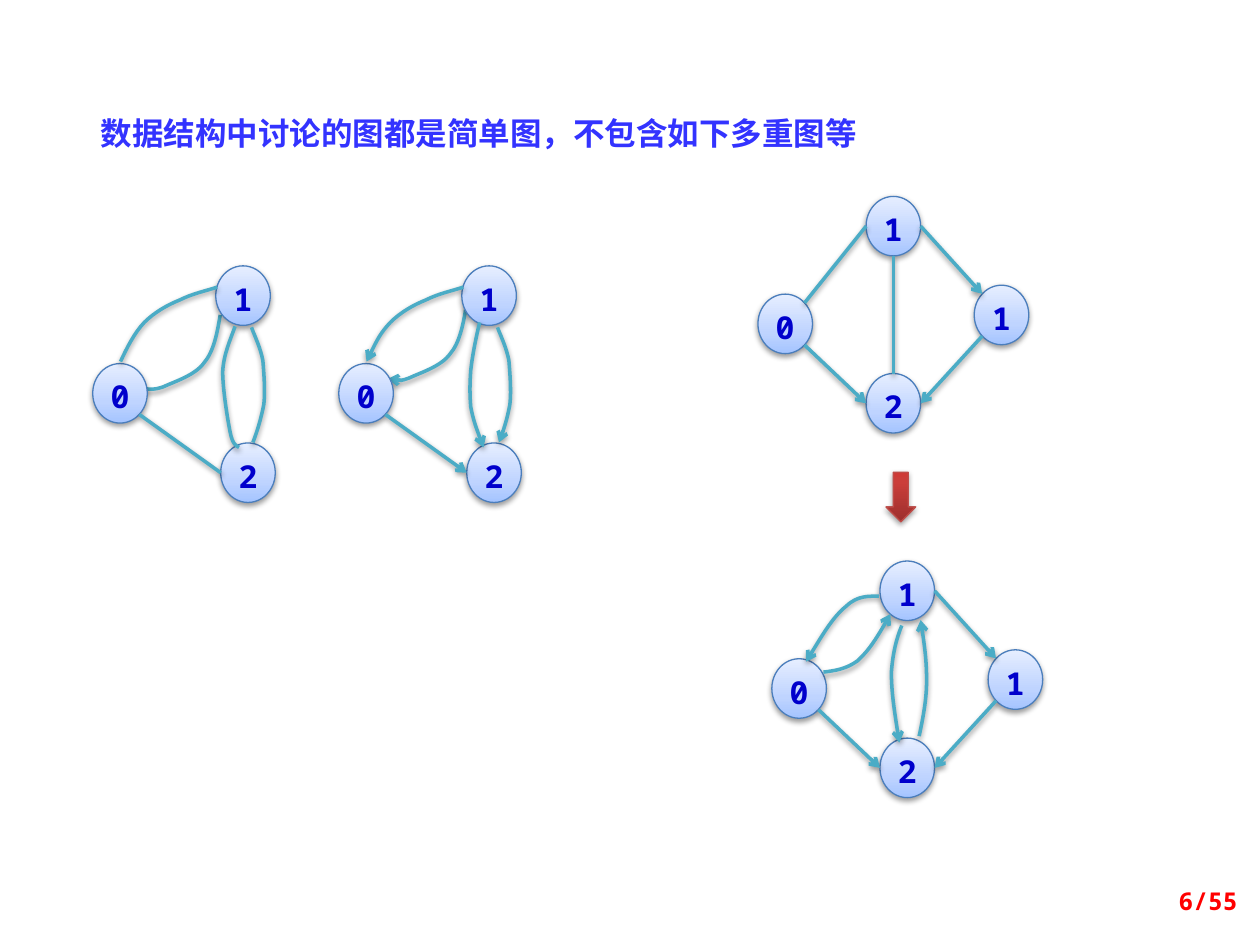
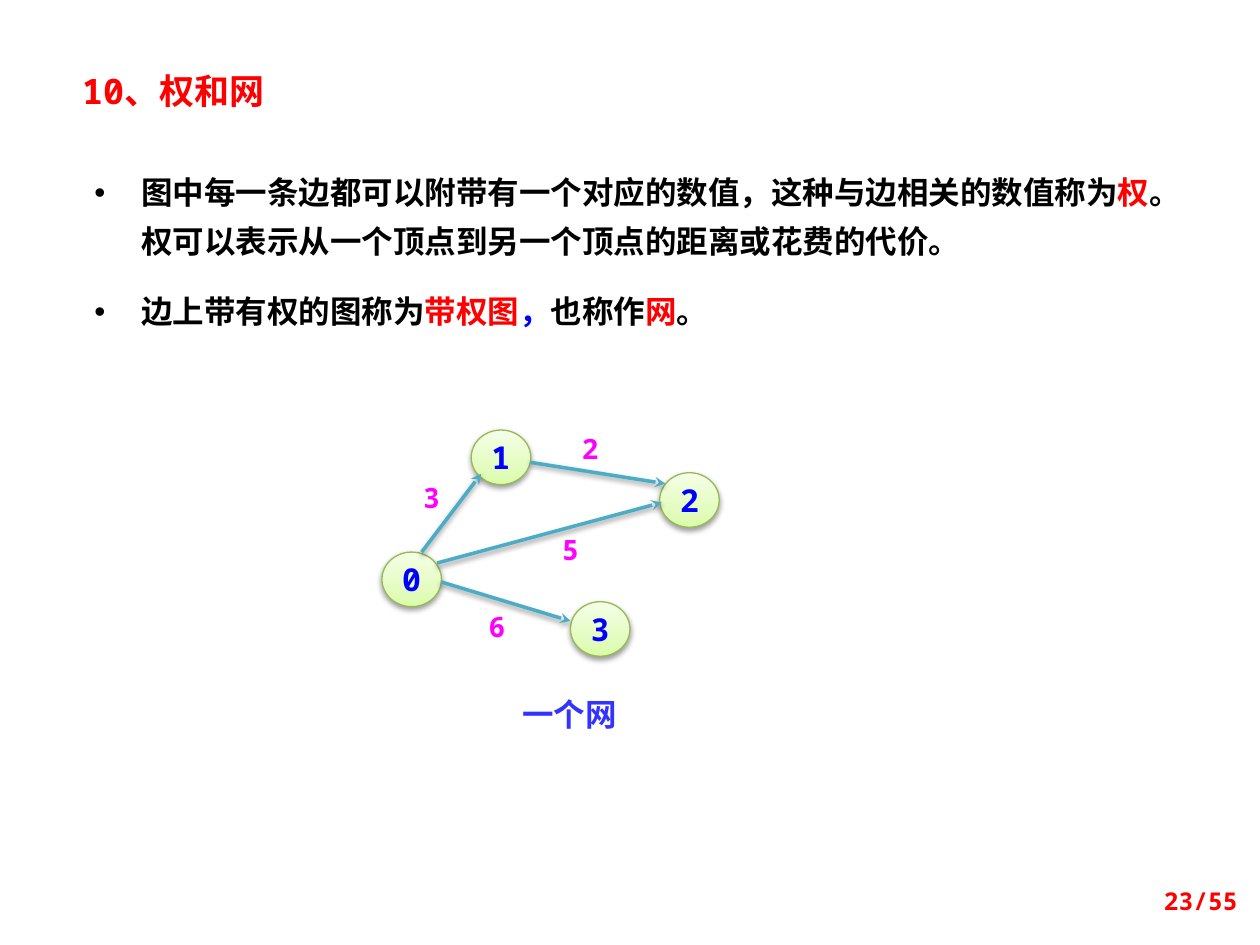
from copy import deepcopy

from lxml import etree
from pptx import Presentation
from pptx.dml.color import RGBColor
from pptx.enum import shapes, text
from pptx.oxml import ns
from pptx.util import Cm, Pt

SANS, SANS_RED, MONO = "Noto Sans CJK SC", "Noto Sans CJK JP", "Noto Sans Mono"
RED, BLUE, INDIGO, NAVY = "FF0000", "0000FF", "3333FF", "0000CC"
BLACK, WHITE, MAGENTA, TEAL = "000000", "FFFFFF", "FF00FF", "4BACC6"

# Gradient stops from bottom to top, then the outline
BLUE_NODE = [(0, "A4C4FF"), (0.35, "BFD4FF"), (1, "E6EEFF")], "4B7EBC"
GREEN_NODE = [(0, "DAFDA7"), (0.35, "E4FCC2"), (1, "F5FFE7")], "98B955"
RED_ARROW = [(0, "9C2F2D"), (0.8, "CB3E3A"), (1, "CE3B37")], "BF4C48"

# Points on an ellipse, as shares of its half width and half height
SITES = {"top": (0, -1), "bottom": (0, 1), "left": (-1, 0), "right": (1, 0),
         "upper left": (-0.71, -0.71), "upper right": (0.71, -0.71),
         "lower left": (-0.71, 0.71), "lower right": (0.71, 0.71)}


def colour(value):
    return RGBColor.from_string(value)


def add_xml(parent, tag, **attributes):
    return etree.SubElement(parent, ns.qn(tag), attributes)


class Slides:
    """Holds the deck, its style and the current page."""

    def __init__(self):
        self.deck = Presentation()
        self.deck.slide_width, self.deck.slide_height = Cm(25.4), Cm(19.05)
        self.page = None

    def new_page(self, layout, number):
        self.page = self.deck.slides.add_slide(self.deck.slide_layouts[layout])
        self.label(f"{number}/55", (19.28, 17.65, 5.92, 1.02), RED, 14, MONO,
                   text.PP_ALIGN.RIGHT)

    # Text
    def add_span(self, para, words, tint, size, font):
        span = para.add_run()
        span.text = words
        span.font.size, span.font.bold, span.font.name = Pt(size), True, font
        span.font.color.rgb = colour(tint)
        east_asian = SANS if font == MONO else font
        add_xml(span._r.get_or_add_rPr(), "a:ea", typeface=east_asian)

    def place(self, box, bounds):
        box.left, box.top, box.width, box.height = map(Cm, bounds)
        box.text_frame.word_wrap = True
        box.text_frame.auto_size = text.MSO_AUTO_SIZE.NONE

    def title(self, words, bounds, tint, size, font):
        box = self.page.shapes.title
        self.place(box, bounds)
        box.text_frame.vertical_anchor = text.MSO_ANCHOR.TOP
        para = box.text_frame.paragraphs[0]
        para.alignment = text.PP_ALIGN.LEFT
        self.add_span(para, words, tint, size, font)

    def bullets(self, items, bounds):
        box = self.page.placeholders[1]
        self.place(box, bounds)
        box.fill.solid()
        box.fill.fore_color.rgb = colour(WHITE)
        frame = box.text_frame
        frame.margin_left, frame.margin_right = Cm(0.5), Cm(0.25)
        frame.margin_top = frame.margin_bottom = Cm(0.3)
        for index, spans in enumerate(items):
            para = frame.add_paragraph() if index else frame.paragraphs[0]
            para.line_spacing, para.space_before = Pt(28), Pt(12)
            layout = para._p.get_or_add_pPr()
            layout.set("marL", str(Cm(0.95)))
            layout.set("indent", str(-Cm(0.95)))
            add_xml(layout, "a:buFont", typeface="Arial")
            add_xml(layout, "a:buChar", char="•")
            for words, tint in spans:
                font = SANS_RED if tint == RED else MONO
                self.add_span(para, words, tint, 18, font)

    def label(self, words, bounds, tint, size, font,
              align=text.PP_ALIGN.CENTER, margin=0.13):
        box = self.page.shapes.add_textbox(*map(Cm, bounds))
        frame = box.text_frame
        frame.word_wrap = True
        frame.vertical_anchor = text.MSO_ANCHOR.MIDDLE
        frame.margin_top = frame.margin_bottom = Cm(margin)
        para = frame.paragraphs[0]
        para.alignment = align
        self.add_span(para, words, tint, size, font)

    # Shapes
    def shadow(self, shape):
        properties = shape._element.spPr
        effects = properties.find(ns.qn("a:effectLst"))
        if effects is None:
            effects = add_xml(properties, "a:effectLst")
        outer = add_xml(effects, "a:outerShdw", blurRad="40000", dist="20000",
                        dir="5400000", rotWithShape="0")
        black = add_xml(outer, "a:srgbClr", val=BLACK)
        add_xml(black, "a:alpha", val="38000")

    def glossy(self, kind, bounds, style):
        stops, outline = style
        shape = self.page.shapes.add_shape(kind, *map(Cm, bounds))
        shape.fill.gradient()
        shape.fill.gradient_angle = 90
        stop_list = shape._element.spPr.find(".//" + ns.qn("a:gsLst"))
        stop_list.append(deepcopy(stop_list[-1]))
        for stop, (position, tint) in zip(shape.fill.gradient_stops, stops):
            stop.position, stop.color.rgb = position, colour(tint)
        shape.line.color.rgb, shape.line.width = colour(outline), Pt(0.75)
        shape.shadow.inherit = False
        self.shadow(shape)
        return shape

    def node(self, name, left, top, style=BLUE_NODE):
        green = style is GREEN_NODE
        size = (1.2, 1.1) if green else (1.1, 1.2)
        shape = self.glossy(shapes.MSO_SHAPE.OVAL, (left, top, *size), style)
        frame = shape.text_frame
        frame.word_wrap = not green
        para = frame.paragraphs[0]
        para.alignment = text.PP_ALIGN.CENTER
        if green:
            frame.vertical_anchor = text.MSO_ANCHOR.MIDDLE
        else:
            frame.vertical_anchor = text.MSO_ANCHOR.TOP
            frame.margin_left = frame.margin_right = frame.margin_bottom = 0
            frame.margin_top = Cm(0.3)
            para.line_spacing = 0.72
        self.add_span(para, name, BLUE if green else NAVY, 18, MONO)
        return shape

    # Edges
    def edge_style(self, edge, head):
        edge.line.color.rgb, edge.line.width = colour(TEAL), Pt(2)
        if head:
            outline = edge._element.spPr.find(ns.qn("a:ln"))
            add_xml(outline, "a:tailEnd", type=head)
        self.shadow(edge)

    def line(self, start, end, head=None):
        edge = self.page.shapes.add_connector(
            shapes.MSO_CONNECTOR.STRAIGHT, *map(Cm, (*start, *end)))
        self.edge_style(edge, head)

    def join(self, first, first_site, second, second_site, head=None):
        ends = []
        for shape, site in ((first, first_site), (second, second_site)):
            across, down = SITES[site]
            ends.append(((shape.left + shape.width * (1 + across) / 2) / Cm(1),
                         (shape.top + shape.height * (1 + down) / 2) / Cm(1)))
        self.line(*ends, head)

    def curve(self, origin, points, head=None, lift=0):
        """Draw Bezier segments: a start, then three points per segment."""
        start, *rest = [(Cm(origin[0] + x), Cm(origin[1] + y - lift))
                        for x, y in points]
        builder = self.page.shapes.build_freeform(*start)
        builder.add_line_segments(rest, close=False)
        edge = builder.convert_to_shape()
        outline = edge._element.spPr.find(".//" + ns.qn("a:path"))
        steps = outline.findall(ns.qn("a:lnTo"))
        for first in range(0, len(steps), 3):
            bezier = add_xml(outline, "a:cubicBezTo")
            for step in steps[first:first + 3]:
                bezier.append(step[0])
                outline.remove(step)
        edge.fill.background()
        edge.shadow.inherit = False
        self.edge_style(edge, head)


# Curves of the multigraphs, relative to the graph's top left corner
OUTER_1_TO_0 = [(2.51, 0.43), (2.26, 0.51), (2.01, 0.56), (1.75, 0.69),
                (1.5, 0.79), (1.24, 0.94), (1.04, 1.14),
                (0.84, 1.35), (0.69, 1.65), (0.56, 1.93)]
INNER_1_TO_0 = [(2.57, 0.99), (2.51, 1.35), (2.44, 1.73), (2.24, 1.96),
                (2.06, 2.21), (1.63, 2.34), (1.42, 2.44),
                (1.22, 2.51), (1.09, 2.49), (0.99, 2.46)]
OUTER_1_TO_2 = [(3.2, 1.24), (3.28, 1.45), (3.38, 1.65), (3.43, 1.91),
                (3.45, 2.16), (3.48, 2.51), (3.45, 2.79),
                (3.4, 3.05), (3.33, 3.3), (3.23, 3.56)]
INNER_1_TO_2 = [(2.87, 1.22), (2.77, 1.5), (2.64, 1.78), (2.62, 2.13),
                (2.62, 2.49), (2.72, 3.1), (2.77, 3.35),
                (2.82, 3.61), (2.9, 3.63), (2.95, 3.66)]
INNER_1_TO_2_DIRECTED = [(2.84, 1.14), (2.76, 1.47), (2.69, 1.83), (2.66, 2.11),
                         (2.64, 2.39), (2.64, 2.59), (2.66, 2.84),
                         (2.71, 3.1), (2.81, 3.38), (2.92, 3.66)]

# Pairs of opposite arcs that replace undirected edges
OPPOSITE_ARCS = [
    [(2.16, 0.71), (1.96, 0.71), (1.73, 0.69), (1.5, 0.91),
     (1.24, 1.12), (0.97, 1.57), (0.69, 2.03)],
    [(1.04, 2.24), (1.27, 2.21), (1.5, 2.18), (1.73, 2.01),
     (1.96, 1.8), (2.18, 1.45), (2.39, 1.07)],
    [(2.62, 1.3), (2.51, 1.57), (2.44, 1.85), (2.41, 2.24),
     (2.41, 2.64), (2.49, 3.15), (2.57, 3.66)],
    [(2.97, 3.53), (3.05, 3.15), (3.12, 2.79), (3.12, 2.41),
     (3.12, 2.03), (3.07, 1.63), (3, 1.19)],
]


def multigraph(slides, left, inner_right, head=None, lift=0):
    origin = left, 5.36
    slides.curve(origin, INNER_1_TO_0, head, lift)
    zero, one, two = [slides.node(name, left + x, 5.36 + y) for name, x, y in
                      (("0", 0, 1.97), ("1", 2.48, 0), ("2", 2.58, 3.57))]
    for points in (OUTER_1_TO_0, OUTER_1_TO_2, inner_right):
        slides.curve(origin, points, head)
    slides.join(zero, "lower right", two, "left", head)


def diamond(slides, left, top, directed):
    zero, one, two, far = [
        slides.node(name, left + x, top + y) for name, x, y in
        (("0", 0, 1.97), ("1", 2.18, 0), ("2", 2.18, 3.57), ("1", 4.36, 1.79))]
    slides.join(zero, "lower right", two, "left", "arrow")
    slides.join(far, "lower left", two, "right", "arrow")
    slides.join(one, "right", far, "upper left", "arrow")
    if directed:
        for points in OPPOSITE_ARCS:
            slides.curve((left, top), points, "arrow")
    else:
        slides.join(zero, "upper right", one, "left")
        slides.join(one, "bottom", two, "top")


def multigraph_page(slides):
    slides.new_page(5, 6)
    slides.title("数据结构中讨论的图都是简单图，不包含如下多重图等",
                 (1.78, 2.18, 18.85, 1.02), INDIGO, 18, SANS)
    multigraph(slides, 1.87, INNER_1_TO_2)
    multigraph(slides, 6.83, INNER_1_TO_2_DIRECTED, "arrow", lift=0.18)
    diamond(slides, 15.28, 3.96, directed=False)
    slides.glossy(shapes.MSO_SHAPE.DOWN_ARROW, (17.86, 9.52, 0.6, 1), RED_ARROW)
    diamond(slides, 15.56, 11.31, directed=True)


def network_page(slides):
    slides.new_page(1, 23)
    slides.title("10、权和网", (1.4, 1.27, 4.57, 1.12), RED, 20, MONO)
    slides.bullets([
        [("图中每一条边都可以附带有一个对应的数值，这种与边相关的数值称为", BLACK),
         ("权", RED),
         ("。权可以表示从一个顶点到另一个顶点的距离或花费的代价。", BLACK)],
        [("边上带有权的图称为", BLACK), ("带权图", RED), ("，", BLUE),
         ("也称作", BLACK), ("网", RED), ("。", BLACK)],
    ], (1.4, 2.97, 22.5, 4.01))

    # Weighted network
    for name, left, top in (("1", 9.5, 8.67), ("2", 13.3, 9.53),
                            ("0", 7.7, 11.13), ("3", 11.5, 12.13)):
        slides.node(name, left, top, GREEN_NODE)
    for weight, start, end, corner in (
            ("3", (8.5, 11.13), (9.7, 9.55), (8.1, 9.68)),
            ("6", (8.89, 11.73), (11.5, 12.52), (9.42, 12.29)),
            ("5", (8.81, 11.35), (13.34, 10.13), (10.9, 10.72)),
            ("2", (10.69, 9.32), (13.41, 9.75), (11.3, 8.69))):
        slides.line(start, end, "stealth")
        slides.label(weight, (*corner, 1.2, 0.69), MAGENTA, 16, MONO, margin=0)
    slides.label("一个网", (9.88, 13.89, 3.2, 1.02), INDIGO, 18, SANS)


def main():
    slides = Slides()
    multigraph_page(slides)
    network_page(slides)
    slides.deck.save("out.pptx")


if __name__ == "__main__":
    main()
